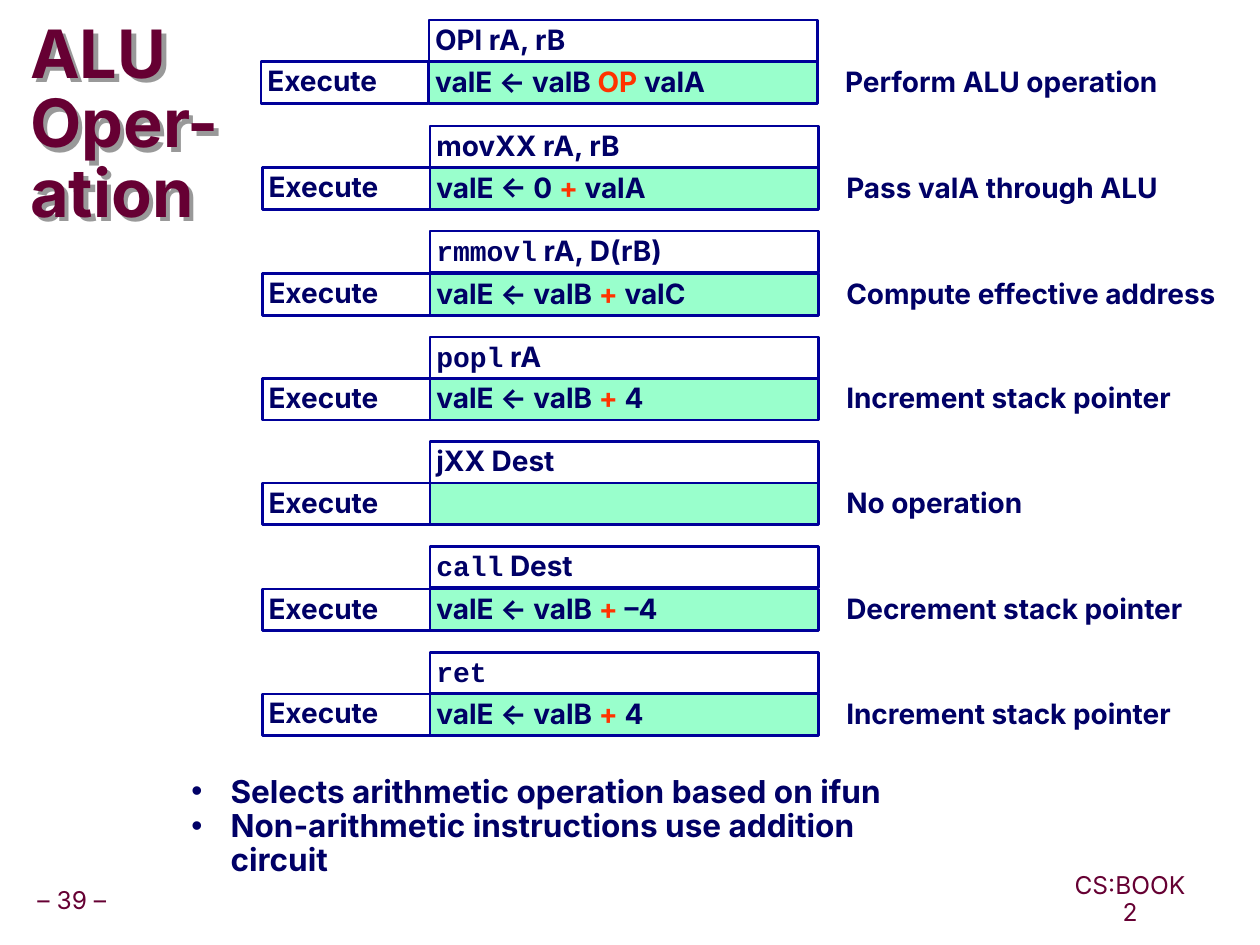
from lxml.etree import SubElement
from pptx import Presentation
from pptx.dml.color import RGBColor as Color
from pptx.enum.shapes import MSO_SHAPE as Shape
from pptx.enum.text import MSO_ANCHOR as Anchor, PP_ALIGN as Align
from pptx.oxml.ns import qn
from pptx.util import Pt

PX = 9144  # EMU in one px, 100 px to the inch
HUES = {"wine": "660033", "navy": "000066", "edge": "000099",
        "mint": "99FFCC", "red": "FF3300", "gray": "999999"}
SANS, MONO = "Inter", "Courier New"

# Instruction, computation and note; the first two are (text, style) runs
ROWS = [
    ([("OPl rA, rB", "")],
     [("valE ← valB ", ""), ("OP", "hot"), (" valA", "")],
     "Perform ALU operation"),
    ([("movXX rA, rB", "")],
     [("valE ← 0 ", ""), ("+ ", "hot"), ("valA", "")],
     "Pass valA through ALU"),
    ([("rmmovl", "code"), (" rA, D(rB)", "")],
     [("valE ← valB ", ""), ("+", "hot"), (" valC", "")],
     "Compute effective address"),
    ([("popl", "code"), (" rA", "")],
     [("valE ← valB ", ""), ("+", "hot"), (" 4", "")],
     "Increment stack pointer"),
    ([("jXX Dest", "")], [], "No operation"),
    ([("call", "code"), (" Dest", "")],
     [("valE ← valB ", ""), ("+", "hot"), (" –4", "")],
     "Decrement stack pointer"),
    ([("ret", "code")],
     [("valE ← valB ", ""), ("+", "hot"), (" 4", "")],
     "Increment stack pointer"),
]
POINTS = ["Selects arithmetic operation based on ifun",
          "Non-arithmetic instructions use addition circuit"]


class Deck:
    def __init__(self, wide, high):
        self.prs = Presentation()
        self.prs.slide_width, self.prs.slide_height = wide * PX, high * PX
        self.slide = self.prs.slides.add_slide(self.prs.slide_layouts[6])

    def setup(self, shape, inset, anchor=Anchor.TOP, wrap=True):
        """Prepare the text frame of a shape and return it."""
        frame = shape.text_frame
        frame.word_wrap = wrap
        frame.vertical_anchor = anchor
        frame.margin_left = frame.margin_right = inset * PX
        frame.margin_top = frame.margin_bottom = inset * PX
        return frame

    def style(self, para, size, hue="navy", bold=True, gap=0.9):
        para.line_spacing = gap
        for run in para.runs:
            font = run.font
            font.name, font.size, font.bold = SANS, Pt(size), bold
            font.color.rgb = Color.from_string(HUES[hue])

    def text(self, words, x, y, w, h):
        box = self.slide.shapes.add_textbox(x * PX, y * PX, w * PX, h * PX)
        para = self.setup(box, 5).paragraphs[0]
        para.text = words
        self.style(para, 16)

    def title(self, words, x, y, w, h):
        box = self.slide.shapes.add_textbox(x * PX, y * PX, w * PX, h * PX)
        para = self.setup(box, 0, Anchor.MIDDLE).paragraphs[0]
        para.text = words
        self.style(para, 38, "wine", gap=0.87)
        glow = SubElement(box._element.spPr, qn("a:effectLst"))
        shade = SubElement(glow, qn("a:outerShdw"),
                           dist=str(5 * PX), dir="2700000")
        SubElement(shade, qn("a:srgbClr"), val=HUES["gray"])

    def footer(self, words, x, y, w, h):
        box = self.slide.shapes.add_textbox(x * PX, y * PX, w * PX, h * PX)
        para = self.setup(box, 5, Anchor.MIDDLE, False).paragraphs[0]
        para.text = words
        para.alignment = Align.CENTER
        self.style(para, 14, "wine", bold=False)

    def cell(self, runs, x, y, w, h, fill=None, anchor=Anchor.TOP):
        """Draw a filled box without a line, or an outlined one."""
        box = self.slide.shapes.add_shape(
            Shape.RECTANGLE, x * PX, y * PX, w * PX, h * PX)
        box.shadow.inherit = False
        if fill:
            box.fill.solid()
            box.fill.fore_color.rgb = Color.from_string(HUES[fill])
            box.line.fill.background()
        else:
            box.fill.background()
            box.line.color.rgb = Color.from_string(HUES["edge"])
            box.line.width = Pt(1.5)
        para = self.setup(box, 5, anchor).paragraphs[0]
        para.alignment = Align.LEFT
        for words, _ in runs:
            para.add_run().text = words
        self.style(para, 16)
        for run, (_, kind) in zip(para.runs, runs):
            if kind == "code":
                run.font.name = MONO
            elif kind == "hot":
                run.font.color.rgb = Color.from_string(HUES["red"])

    def list(self, items, x, y, w, h):
        box = self.slide.shapes.add_textbox(x * PX, y * PX, w * PX, h * PX)
        frame = self.setup(box, 10)
        frame.text = "\n".join(items)
        for para in frame.paragraphs:
            self.style(para, 18)
            props = para._p.get_or_add_pPr()
            props.set("marL", str(31 * PX))
            props.set("indent", str(-31 * PX))
            SubElement(props, qn("a:buFont"), typeface="Arial")
            SubElement(props, qn("a:buChar"), char="•")


def main():
    deck = Deck(999, 749)
    deck.footer("– 39 –", 24, 699, 66, 31)
    deck.footer("CS:BOOK2", 844, 698, 104, 31)
    deck.title("ALU\vOper-\vation", 24, 58, 952, 85)
    high = 33
    for i, (code, calc, note) in enumerate(ROWS):
        nudge = 1 if i == 0 else 0  # the first row sits 1 px up and left
        top = round((50 + 250 * i) / 3) - nudge
        low = round((150 + 250 * i) / 3) - nudge
        left, mid, right = 208 - nudge, 341 - nudge, 666 - nudge
        deck.cell(calc, mid, low, 308, high, "mint")
        deck.text(note, right, low, 308, high)
        deck.cell(code, mid, top, 308, high)
        deck.cell([("Execute", "")], left, low, 133, high,
                  anchor=Anchor.MIDDLE)
        deck.cell([], mid, low, 308, high)
    deck.list(POINTS, 142, 605, 620, 101)
    deck.prs.save("out.pptx")


if __name__ == "__main__":
    main()
